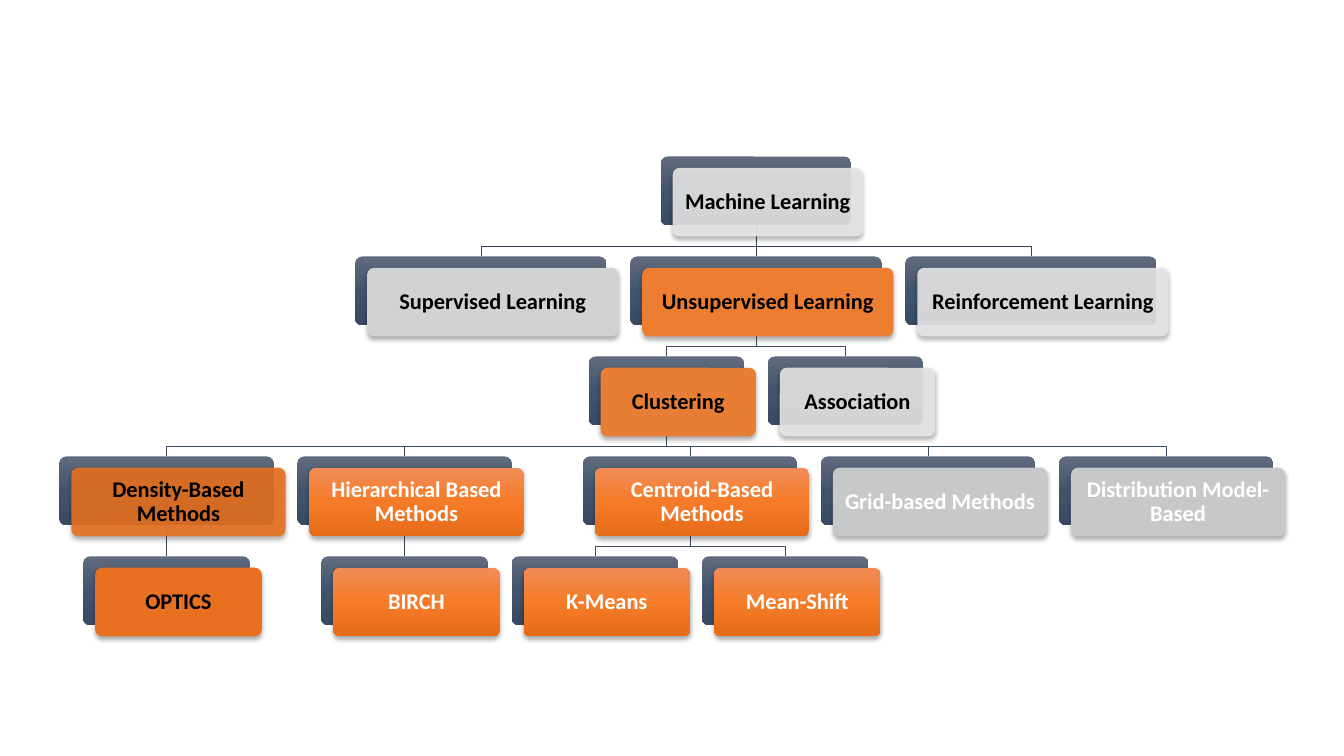
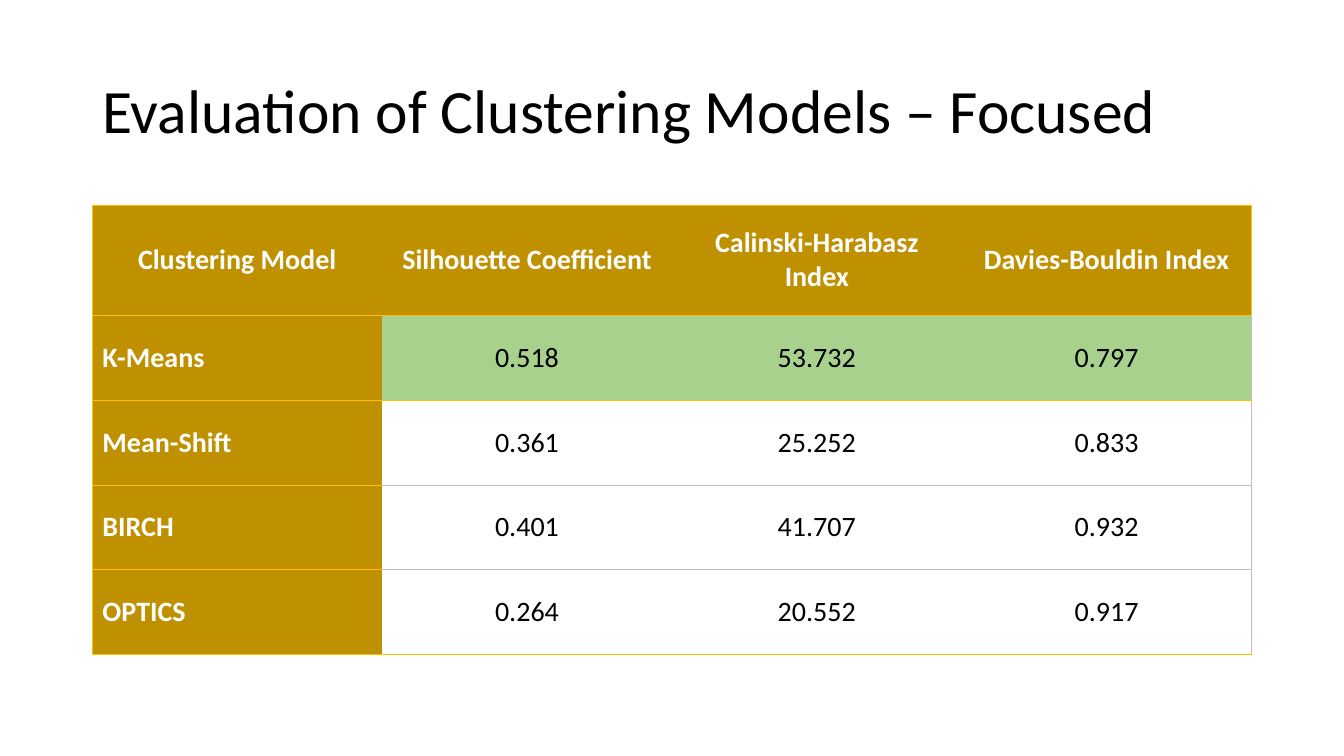
from copy import deepcopy
from dataclasses import dataclass

from lxml import etree
from pptx import Presentation
from pptx import util as u
from pptx.dml.color import RGBColor
from pptx.enum import shapes, text
from pptx.oxml import ns


@dataclass(frozen=True)
class Theme:
    font: str = "Calibri"
    title_size: int = 44
    table_size: int = 20
    card_size: int = 16
    black: str = "000000"
    white: str = "FFFFFF"
    back: tuple = ("606B7D", "42546C", "394A62")
    vivid: tuple = ("F18C57", "F67B28", "E56C19")
    orange: tuple = ("ED7D31",)
    soft_orange: tuple = ("E87D35",)
    deep_orange: tuple = ("E77121",)
    pale: tuple = ("E7E6E6",)
    silver: tuple = ("D1D2D4",)
    muted: tuple = ("C7C8C9",)
    top_line: str = "364355"
    line: str = "3E4C60"
    header: str = "BF9000"
    best: str = "A9D18E"
    gold: str = "FFC000"
    grid: str = "BFBFBF"


theme = Theme()


def add_text(frame, words, size, color, bold=False, align=text.PP_ALIGN.LEFT, spacing=1.0):
    frame.word_wrap = True
    paragraph = frame.paragraphs[0]
    paragraph.alignment = align
    paragraph.line_spacing = spacing
    run = paragraph.add_run()
    run.text = words
    run.font.name = theme.font
    run.font.size = u.Pt(size)
    run.font.bold = bold
    run.font.color.rgb = RGBColor.from_string(color)


def add_card(slide, left, top, width, height, colors, opacity=100):
    shape = slide.shapes.add_shape(
        shapes.MSO_SHAPE.ROUNDED_RECTANGLE, u.Pt(left), u.Pt(top), u.Pt(width), u.Pt(height))
    shape.adjustments[0] = 0.1
    shape.shadow.inherit = False
    shape.line.fill.background()
    if len(colors) == 1:
        shape.fill.solid()
        shape.fill.fore_color.rgb = RGBColor.from_string(colors[0])
        if opacity < 100:
            color = shape.element.spPr.find(".//" + ns.qn("a:srgbClr"))
            etree.SubElement(color, ns.qn("a:alpha"), val=str(opacity * 1000))
    else:
        shape.fill.gradient()
        shape.fill.gradient_angle = 270
        stops = shape.element.spPr.find(".//" + ns.qn("a:gsLst"))
        stops.append(deepcopy(stops[0]))
        for stop, color, position in zip(shape.fill.gradient_stops, colors, (0, 0.5, 1)):
            stop.color.rgb = RGBColor.from_string(color)
            stop.position = position
    return shape


presentation = Presentation()
presentation.slide_width = u.Pt(960)
presentation.slide_height = u.Pt(540)
blank = presentation.slide_layouts[6]

slide = presentation.slides.add_slide(blank)
first_top, level_step, card_height = 111.8, 71.4, 49
shift_x, shift_y, elbow_rise = 8.5, 8.1, 7.3
card_widths = (136, 179.5, 111, 153, 119)

# name: (level, centre, parent, fill, opacity, text colour)
nodes = {
    "Machine Learning": (0, 540, None, theme.pale, 90, theme.black),
    "Supervised Learning": (1, 343.5, "Machine Learning", theme.silver, 100, theme.black),
    "Unsupervised Learning": (1, 540, "Machine Learning", theme.orange, 100, theme.black),
    "Reinforcement Learning": (1, 736.5, "Machine Learning", theme.pale, 90, theme.black),
    "Clustering": (2, 476, "Unsupervised Learning", theme.soft_orange, 100, theme.black),
    "Association": (2, 604, "Unsupervised Learning", theme.pale, 90, theme.black),
    "Density-Based Methods": (3, 119, "Clustering", theme.deep_orange, 90, theme.black),
    "Hierarchical Based Methods": (3, 289, "Clustering", theme.vivid, 100, theme.white),
    "Centroid-Based Methods": (3, 493, "Clustering", theme.vivid, 100, theme.white),
    "Grid-based Methods": (3, 663, "Clustering", theme.muted, 100, theme.white),
    "Distribution Model-Based": (3, 833, "Clustering", theme.muted, 100, theme.white),
    "OPTICS": (4, 119, "Density-Based Methods", theme.deep_orange, 100, theme.black),
    "BIRCH": (4, 289, "Hierarchical Based Methods", theme.vivid, 100, theme.white),
    "K-Means": (4, 425, "Centroid-Based Methods", theme.vivid, 100, theme.white),
    "Mean-Shift": (4, 561, "Centroid-Based Methods", theme.vivid, 100, theme.white),
}

for level, center, parent, *_ in nodes.values():
    if parent is None:
        continue
    start = nodes[parent][1]
    bottom = first_top + (level - 1) * level_step + card_height
    top = first_top + level * level_step
    if start == center:
        branch = slide.shapes.add_connector(
            shapes.MSO_CONNECTOR.STRAIGHT, u.Pt(start), u.Pt(bottom), u.Pt(center), u.Pt(top))
        etree.SubElement(branch.element.spPr, ns.qn("a:effectLst"))
    else:
        elbow = top - elbow_rise
        builder = slide.shapes.build_freeform(u.Pt(start), u.Pt(bottom))
        corners = ((start, elbow), (center, elbow), (center, top))
        builder.add_line_segments([(u.Pt(x), u.Pt(y)) for x, y in corners], close=False)
        branch = builder.convert_to_shape()
        branch.fill.background()
        branch.shadow.inherit = False
    branch.line.width = u.Pt(0.5)
    branch.line.color.rgb = RGBColor.from_string(theme.top_line if level == 1 else theme.line)

for name, (level, center, parent, colors, opacity, text_color) in nodes.items():
    width = card_widths[level]
    left, top = center - width / 2, first_top + level * level_step
    add_card(slide, left, top, width, card_height, theme.back)
    card = add_card(slide, left + shift_x, top + shift_y, width, card_height, colors, opacity)
    effects = card.element.spPr.find(ns.qn("a:effectLst"))
    shadow = etree.SubElement(
        effects, ns.qn("a:outerShdw"), blurRad=str(u.Pt(3.5)), dist=str(u.Pt(2.2)),
        dir="5400000", algn="ctr", rotWithShape="0")
    shade = etree.SubElement(shadow, ns.qn("a:srgbClr"), val=theme.black)
    etree.SubElement(shade, ns.qn("a:alpha"), val="32000")
    frame = card.text_frame
    frame.vertical_anchor = text.MSO_ANCHOR.MIDDLE
    frame.margin_left = frame.margin_right = frame.margin_top = frame.margin_bottom = u.Pt(4.8)
    add_text(frame, name, theme.card_size, text_color, True, text.PP_ALIGN.CENTER, 0.9)

slide = presentation.slides.add_slide(blank)
title = slide.shapes.add_textbox(u.Pt(66), u.Pt(28.75), u.Pt(828), u.Pt(104.4))
title.text_frame.vertical_anchor = text.MSO_ANCHOR.MIDDLE
add_text(title.text_frame, "Evaluation of Clustering Models – Focused",
         theme.title_size, theme.black, spacing=0.9)

scores = (
    ("Clustering Model", "Silhouette Coefficient", "Calinski-Harabasz Index", "Davies-Bouldin Index"),
    ("K-Means", "0.518", "53.732", "0.797"),
    ("Mean-Shift", "0.361", "25.252", "0.833"),
    ("BIRCH", "0.401", "41.707", "0.932"),
    ("OPTICS", "0.264", "20.552", "0.917"),
)
row_heights = (79, 60.5, 60.5, 60.5, 60.5)
last_column = len(scores[0]) - 1
table = slide.shapes.add_table(
    len(scores), len(scores[0]), u.Pt(66), u.Pt(146.4), u.Pt(828), u.Pt(sum(row_heights))).table
table.first_row = table.horz_banding = False
for row, height in zip(table.rows, row_heights):
    row.height = u.Pt(height)

for r, values in enumerate(scores):
    for c, value in enumerate(values):
        cell = table.cell(r, c)
        heading = r == 0 or c == 0
        fill = theme.header if heading else theme.best if r == 1 else theme.white
        cell.fill.solid()
        cell.fill.fore_color.rgb = RGBColor.from_string(fill)
        cell.vertical_anchor = text.MSO_ANCHOR.MIDDLE
        align = text.PP_ALIGN.LEFT if c == 0 and r > 0 else text.PP_ALIGN.CENTER
        add_text(cell.text_frame, value, theme.table_size,
                 theme.white if heading else theme.black, heading, align)
        edges = {
            "a:lnL": theme.gold if c == 0 else None,
            "a:lnR": None if c < last_column else theme.gold if r == 0 else theme.grid,
            "a:lnT": theme.grid if c and r in (3, 4) else theme.gold,
            "a:lnB": theme.grid if c and r in (2, 3) else theme.gold,
        }
        properties = cell._tc.get_or_add_tcPr()
        for index, (edge, color) in enumerate(edges.items()):
            border = etree.Element(ns.qn(edge), w=str(u.Pt(0.5)))
            properties.insert(index, border)
            if color is None:
                etree.SubElement(border, ns.qn("a:noFill"))
            else:
                paint = etree.SubElement(border, ns.qn("a:solidFill"))
                etree.SubElement(paint, ns.qn("a:srgbClr"), val=color)

presentation.save("out.pptx")
